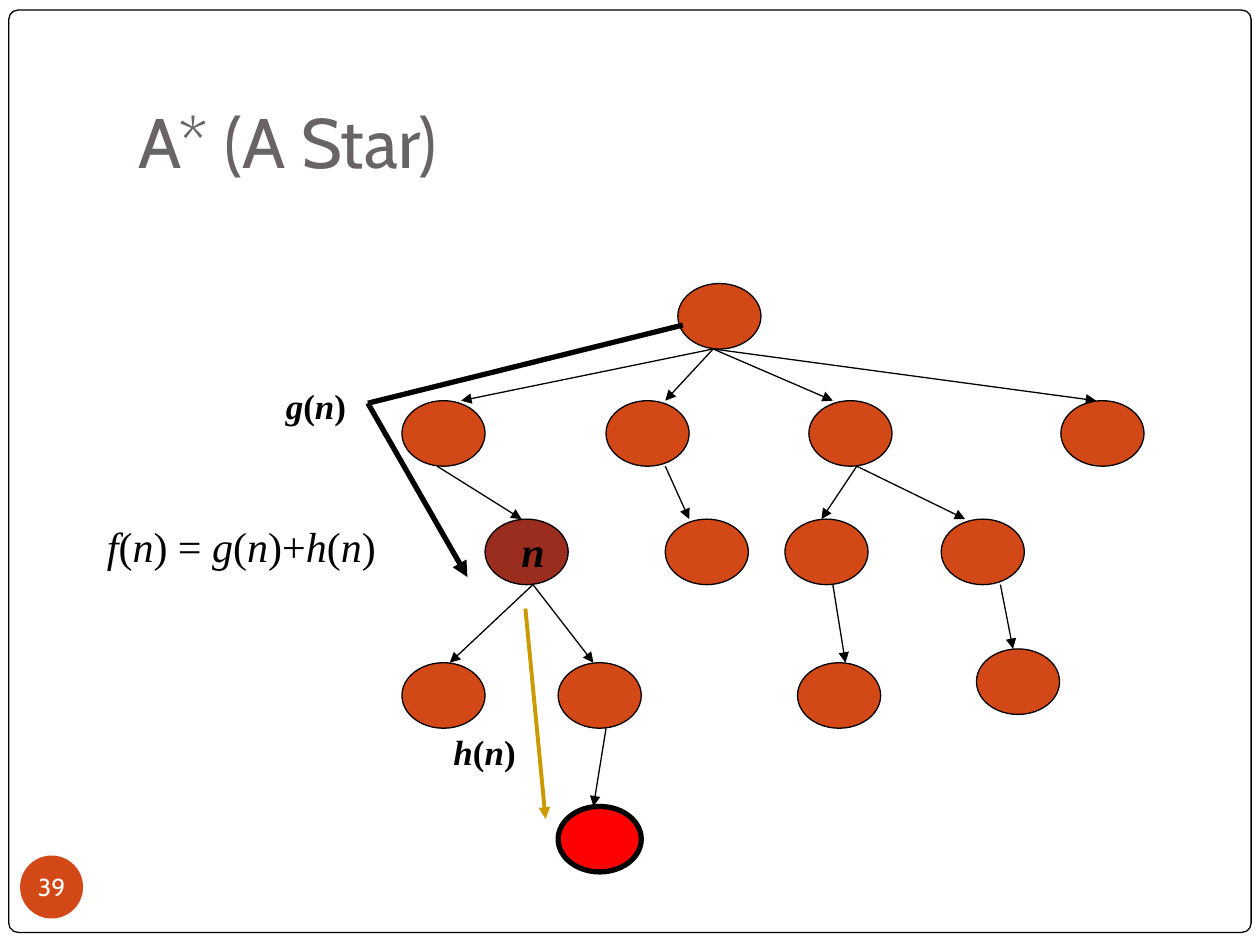
import itertools
from dataclasses import dataclass

import pptx
import pptx.dml.color
import pptx.enum.shapes
import pptx.enum.text
import pptx.oxml.ns
import pptx.oxml.xmlchemy
import pptx.util

Inches = pptx.util.Inches
Pt = pptx.util.Pt
Kind = pptx.enum.shapes.MSO_SHAPE
Anchor = pptx.enum.text.MSO_ANCHOR
Element = pptx.oxml.xmlchemy.OxmlElement
Point = tuple[float, float]

COLORS = {
    "white": "FFFFFF", "black": "000000", "gray": "696464",
    "orange": "D34817", "brown": "9B2D1F", "red": "FF0000", "gold": "CC9900",
}
SANS, SERIF = "Cabin", "Times New Roman"
NODE_W, NODE_H = 0.66, 0.52


@dataclass
class Node:
    left: float
    top: float
    fill: str = "orange"
    width: float = 0.75


@dataclass
class Line:
    start: Point
    end: Point
    color: str = "black"
    width: float = 0.75
    arrow: bool = True


@dataclass
class Label:
    text: str
    left: float
    top: float
    width: float
    height: float
    size: int
    bold: bool = True


def color(name: str) -> pptx.dml.color.RGBColor:
    return pptx.dml.color.RGBColor.from_string(COLORS[name])


def add_run(para, text: str, size: float, font: str, tint: str):
    run = para.add_run()
    run.text = text
    run.font.size = Pt(size)
    run.font.name = font
    run.font.color.rgb = color(tint)
    return run


def add_shape(slide, kind, box: tuple, fill: str, width: float = 0):
    shape = slide.shapes.add_shape(kind, *map(Inches, box))
    shape.shadow.inherit = False
    shape.fill.solid()
    shape.fill.fore_color.rgb = color(fill)
    if width:
        shape.line.color.rgb = color("black")
        shape.line.width = Pt(width)
    else:
        shape.line.fill.background()
    return shape


def add_node(slide, node: Node) -> None:
    box = (node.left, node.top, NODE_W, NODE_H)
    add_shape(slide, Kind.OVAL, box, node.fill, node.width)


def add_line(slide, line: Line) -> None:
    ends = map(Inches, (*line.start, *line.end))
    link = slide.shapes.add_connector(
        pptx.enum.shapes.MSO_CONNECTOR.STRAIGHT, *ends)
    link.line.color.rgb = color(line.color)
    link.line.width = Pt(line.width)
    props = link._element.spPr
    if line.arrow:
        tail = Element("a:tailEnd")
        tail.set("type", "triangle")
        props.find(pptx.oxml.ns.qn("a:ln")).append(tail)
    props.append(Element("a:effectLst"))


def add_label(slide, label: Label) -> None:
    """Write a formula with italic letters and upright signs."""
    box = map(Inches, (label.left, label.top, label.width, label.height))
    frame = slide.shapes.add_textbox(*box).text_frame
    frame.word_wrap = True
    for letters, part in itertools.groupby(label.text, str.isalpha):
        run = add_run(frame.paragraphs[0], "".join(part), label.size,
                      SERIF, "black")
        run.font.bold = label.bold
        run.font.italic = letters


def add_title(slide, text: str) -> None:
    title = slide.shapes.title
    title.left, title.top = Inches(1), Inches(0.3)
    title.width, title.height = Inches(8.5), Inches(1.25)
    frame = title.text_frame
    frame.word_wrap = True
    frame.vertical_anchor = Anchor.BOTTOM
    frame.margin_bottom = Inches(0.1)
    para = frame.paragraphs[0]
    para.alignment = pptx.enum.text.PP_ALIGN.LEFT
    add_run(para, text, 40, SANS, "gray")


def add_badge(slide, text: str) -> None:
    badge = add_shape(slide, Kind.OVAL, (0.16, 6.79, 0.5, 0.5), "orange")
    frame = badge.text_frame
    frame.margin_left = frame.margin_right = 0
    frame.margin_top = frame.margin_bottom = 0
    frame.vertical_anchor = Anchor.MIDDLE
    para = frame.paragraphs[0]
    para.alignment = pptx.enum.text.PP_ALIGN.CENTER
    add_run(para, text, 14, SANS, "white")


# Tree nodes, level by level
ROWS = [
    (2.25, [5.38]),
    (3.18, [3.19, 4.81, 6.42, 8.42]),
    (4.12, [5.28, 6.23, 7.47]),
    (5.26, [3.19, 4.43, 6.33]),
    (5.15, [7.75]),
]
NODES = [Node(left, top) for top, row in ROWS for left in row]
NODES += [Node(3.85, 4.12, "brown"), Node(4.43, 6.4, "red", 3)]

# Each parent point with the points its arrows reach
EDGES = {
    (5.66, 2.77): [(3.66, 3.18), (5.28, 3.18), (6.61, 3.18), (8.7, 3.18)],
    (3.47, 3.7): [(4.14, 4.12)],
    (5.28, 3.7): [(5.47, 4.12)],
    (6.8, 3.7): [(6.52, 4.12), (7.66, 4.12)],
    (4.23, 4.64): [(3.57, 5.26), (4.71, 5.26)],
    (6.61, 4.64): [(6.71, 5.26)],
    (7.94, 4.64): [(8.04, 5.15)],
    (4.81, 5.78): [(4.71, 6.4)],
}
LINES = [Line(start, end) for start, ends in EDGES.items() for end in ends]

# Cost so far in black, estimate in gold
BEND = (2.92, 3.2)
LINES += [
    Line((5.42, 2.58), BEND, width=3, arrow=False),
    Line(BEND, (3.71, 4.58), width=3),
    Line((4.17, 4.83), (4.33, 6.5), "gold", 2.25),
]

LABELS = [
    Label("n", 4.04, 4.12, 0.47, 0.5, 24),
    Label("g(n)", 2.17, 3, 1, 0.44, 20),
    Label("h(n)", 3.5, 5.75, 1, 0.44, 20),
    Label("f(n) = g(n)+h(n)", 0.75, 4.08, 2.92, 0.5, 24, False),
]


def main() -> None:
    deck = pptx.Presentation()
    deck.slide_width, deck.slide_height = Inches(10), Inches(7.5)
    slide = deck.slides.add_slide(deck.slide_layouts[5])

    # Frame behind the title, then the page number
    border = add_shape(slide, Kind.ROUNDED_RECTANGLE,
                       (0.07, 0.08, 9.86, 7.32), "white", 0.75)
    border.adjustments[0] = 0.01
    slide.shapes.title.element.addprevious(border.element)
    add_title(slide, "A* (A Star)")
    add_badge(slide, "39")

    # Search tree
    for node in NODES:
        add_node(slide, node)
    for line in LINES:
        add_line(slide, line)
    for label in LABELS:
        add_label(slide, label)

    deck.save("out.pptx")


if __name__ == "__main__":
    main()
